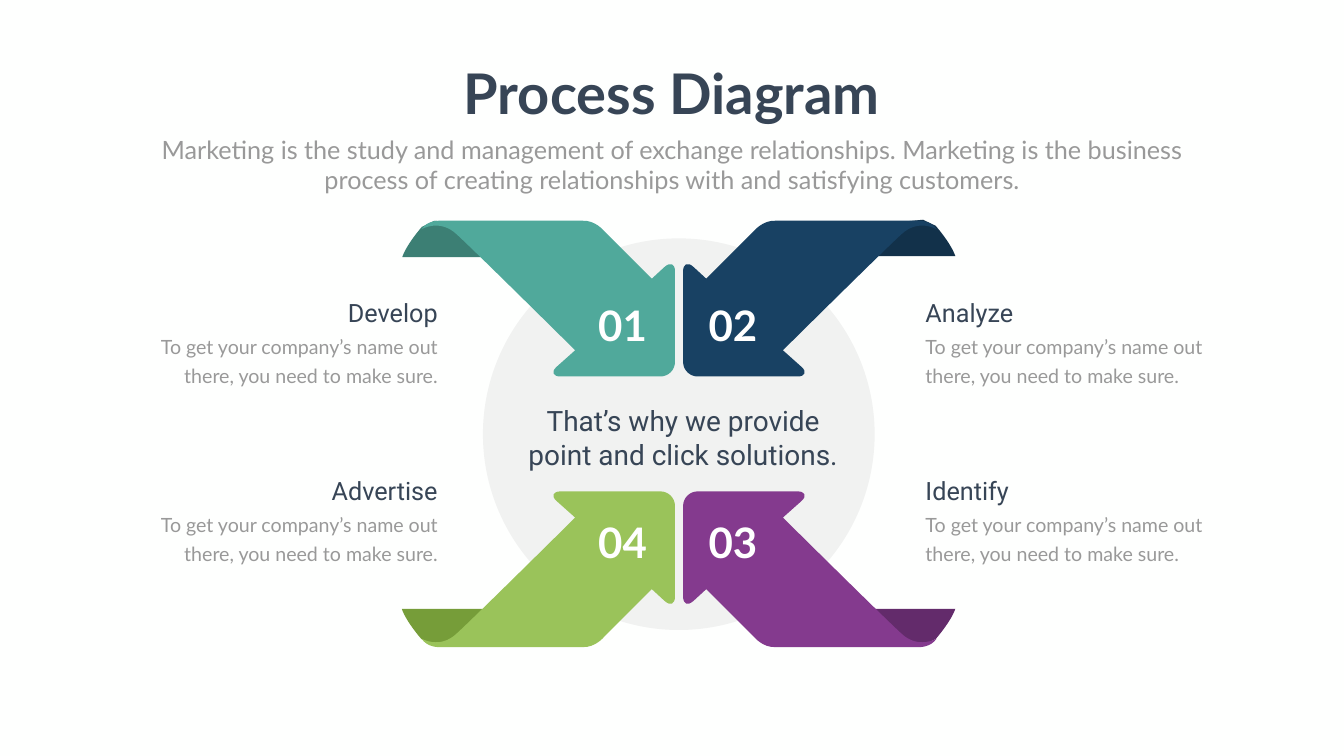
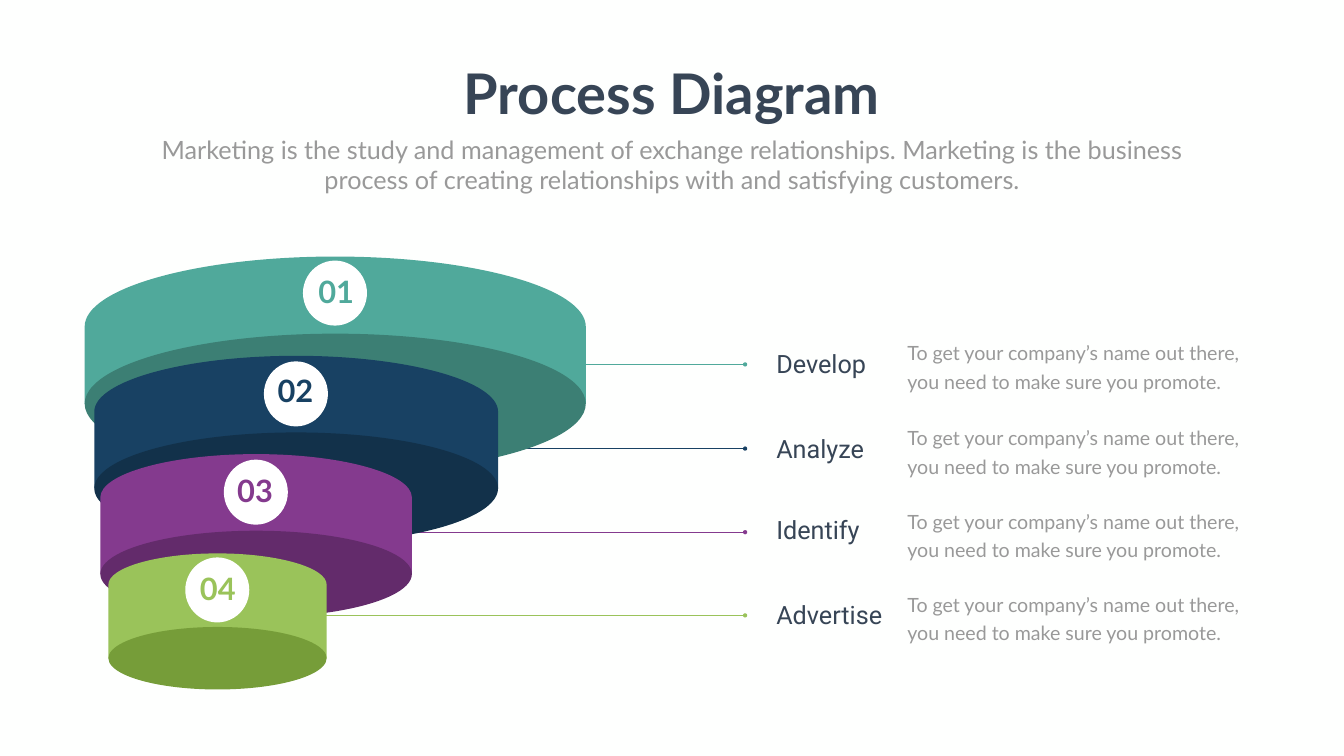
from pptx import Presentation
from pptx.dml.color import RGBColor
from pptx.enum.shapes import MSO_CONNECTOR, MSO_SHAPE
from pptx.enum.text import MSO_AUTO_SIZE, PP_ALIGN
from pptx.oxml.ns import qn
from pptx.util import Pt
from lxml.etree import SubElement

PX = 9144  # one px is a hundredth of an inch
SLIDE_W, SLIDE_H = 2666, 1500

COLORS = {
    "background": "FEFFFE", "ink": "374556", "muted": "999999",
    "white": "FFFFFF", "disc": "808080",
    "teal": "50A99B", "teal_dark": "3C7F74",
    "navy": "184163", "navy_dark": "12314A",
    "purple": "843A8E", "purple_dark": "632B6B",
    "green": "9AC35A", "green_dark": "769D39",
}
STYLES = {
    "title": {"name": "Lato", "size": Pt(80), "bold": True},
    "subtitle": {"name": "Lato", "size": Pt(36)},
    "statement": {"name": "Roboto", "size": Pt(40)},
    "label": {"name": "Roboto", "size": Pt(36)},
    "detail": {"name": "Lato", "size": Pt(28)},
    "arrow_number": {"name": "Lato", "size": Pt(60), "bold": True},
    "tier_number": {"name": "Lato", "size": Pt(44), "bold": True},
}
LEFT, CENTER, RIGHT = PP_ALIGN.LEFT, PP_ALIGN.CENTER, PP_ALIGN.RIGHT
DETAIL_SPACING = Pt(40.8)
CIRCLE_CURVE = 0.55  # Bezier handle length for a quarter ellipse

TITLE = "Process Diagram"
SUBTITLE = ("Marketing is the study and management of exchange relationships. "
            "Marketing is the business process of creating relationships with "
            "and satisfying customers.")
STATEMENT = "That’s why we provide point and click solutions."
ARROW_DETAIL = "To get your company’s name out there, you need to make sure."
TIER_DETAIL = "To get your company’s name out there, you need to make sure you promote."

# Outlines run from a start point; two values draw a line, six a curve.
FOLD_SIZE = (160, 72)
FOLD_OUTLINE = [
    (0, 72), (160, 72), (156, 27), (117, 5), (64, 0), (39, 12),
    (39, 12, 9, 46, 0, 72),
]
ARROW_SIZE = (503, 314)
ARROW_OUTLINE = [
    (482, 97), (457, 120), (362, 25), (362, 25, 345, 4, 320, 5), (35, 5),
    (35, 5, 12, 4, 0, 22), (0, 22, 36, 0, 70, 32),
    (103, 62, 305, 262, 305, 262), (268, 295),
    (257, 305, 261, 314, 276, 314), (474, 314),
    (490, 314, 503, 301, 503, 285), (503, 106),
    (503, 90, 494, 86, 482, 97),
]

# number, label, color, on the right, at the bottom, fold corner
ARROWS = [
    ("01", "Develop", "teal", False, False, (798, 438)),
    ("02", "Analyze", "navy", True, False, (1735, 436)),
    ("04", "Advertise", "green", False, True, (797, 1208)),
    ("03", "Identify", "purple", True, True, (1735, 1208)),
]
# number, color, tier box, rim height, badge drop, number offset
TIERS = [
    ("01", "teal", (168, 509, 994, 292), 139, 8, (404, 28)),
    ("02", "navy", (187, 706, 801, 263), 111, 11, (304, 27)),
    ("03", "purple", (199, 901, 618, 238), 86, 11, (212, 30)),
    ("04", "green", (215, 1098, 433, 208), 62, 8, (122, 28)),
]
# label, color, line start, line height, label top, detail top
CALLOUTS = [
    ("Develop", "teal", 1146, 723, 687, 662),
    ("Analyze", "navy", 975, 890, 855, 831),
    ("Identify", "purple", 793, 1056, 1016, 996),
    ("Advertise", "green", 632, 1221, 1185, 1161),
]


def rgb(color):
    return RGBColor.from_string(COLORS[color])


def emu(*lengths):
    return [round(length * PX) for length in lengths]


def paint(shape, color):
    shape.shadow.inherit = False
    shape.fill.solid()
    shape.fill.fore_color.rgb = rgb(color)
    shape.line.fill.background()


def add_ellipse(slide, box, color):
    ellipse = slide.shapes.add_shape(MSO_SHAPE.OVAL, *emu(*box))
    paint(ellipse, color)
    return ellipse


def bend(shape, outline):
    """Turn each three lines that stand for a curve into that curve."""
    path = next(shape._element.spPr.iter(qn("a:path")))
    lines = iter(path.findall(qn("a:lnTo")))
    for segment in outline[1:]:
        first = next(lines)
        if len(segment) == 6:
            first.tag = qn("a:cubicBezTo")
            for _ in range(2):
                handle = next(lines)
                first.append(handle[0])
                path.remove(handle)


def add_outline(slide, box, outline, color, flip_x=False, flip_y=False):
    left, top, width, height = box
    points = [emu(left + (width - x if flip_x else x),
                  top + (height - y if flip_y else y))
              for segment in outline
              for x, y in zip(segment[::2], segment[1::2])]
    builder = slide.shapes.build_freeform(*points[0], scale=1.0)
    builder.add_line_segments(points[1:], close=True)
    shape = builder.convert_to_shape()
    bend(shape, outline)
    paint(shape, color)


def add_text(slide, box, text, style, color, align=LEFT, spacing=None, wrap=True):
    frame = slide.shapes.add_textbox(*emu(*box)).text_frame
    frame.word_wrap = wrap
    frame.auto_size = MSO_AUTO_SIZE.SHAPE_TO_FIT_TEXT
    paragraph = frame.paragraphs[0]
    paragraph.alignment = align
    if spacing:
        paragraph.line_spacing = spacing
    run = paragraph.add_run()
    run.text = text
    for attribute, value in STYLES[style].items():
        setattr(run.font, attribute, value)
    run.font.color.rgb = rgb(color)


def add_leader(slide, start, end, y, color):
    """Draw a level line that ends in a dot."""
    leader = slide.shapes.add_connector(
        MSO_CONNECTOR.STRAIGHT, *emu(start, y, end, y))
    leader.line.width = Pt(2)
    leader.line.color.rgb = rgb(color)
    SubElement(leader._element.spPr.find(qn("a:ln")), qn("a:tailEnd"), type="oval")
    SubElement(leader._element.spPr, qn("a:effectLst"))


def add_heading(slide, box):
    left, top, width, height = box
    add_text(slide, (left + 609, top, 863, 145), TITLE, "title", "ink", CENTER, wrap=False)
    add_text(slide, (left, top + 149, width, height - 149),
             SUBTITLE, "subtitle", "muted", CENTER)


def add_hub(slide, box):
    """Draw the pale disc behind the arrows."""
    disc = add_ellipse(slide, box, "disc")
    tint = disc._element.spPr.find(qn("a:solidFill")).find(qn("a:srgbClr"))
    SubElement(tint, qn("a:alpha"), val="10000")


def add_arrow_caption(slide, box, label, align):
    left, top, width, height = box
    label_w = 439
    label_left = left + width - label_w if align == RIGHT else left
    add_text(slide, (left, top + 65, width, height - 65), ARROW_DETAIL,
             "detail", "muted", align, DETAIL_SPACING)
    add_text(slide, (label_left, top, label_w, 71), label, "label", "ink", align)


def add_arrow_diagram(slide, box):
    left, top, width, height = box
    arrow_w, arrow_h = ARROW_SIZE
    add_hub(slide, (left + 122, top + 40, 777, 777))
    for _, _, color, on_right, at_bottom, fold_corner in ARROWS:
        add_outline(slide, (*fold_corner, *FOLD_SIZE), FOLD_OUTLINE,
                    color + "_dark", on_right, at_bottom)
    for number, label, color, on_right, at_bottom, _ in ARROWS:
        arrow_left = left + (width - arrow_w if on_right else 0)
        arrow_top = top + (height - arrow_h if at_bottom else 0)
        add_outline(slide, (arrow_left, arrow_top, *ARROW_SIZE), ARROW_OUTLINE,
                    color, on_right, at_bottom)
        number_box = (left + (540 if on_right else 321),
                      top + (586 if at_bottom else 157), 136, 111)
        add_text(slide, number_box, number, "arrow_number", "white", RIGHT)
        caption_box = (left + (990 if on_right else -607),
                       top + (505 if at_bottom else 152), 649, 184)
        add_arrow_caption(slide, caption_box, label, LEFT if on_right else RIGHT)
    add_text(slide, (left + 180, top + 363, 678, 145), STATEMENT,
             "statement", "ink", CENTER)


def add_tier(slide, box, rim, color, number, badge_drop, number_offset):
    left, top, width, height = box
    middle = width / 2
    handle_x, handle_y = middle * CIRCLE_CURVE, rim * CIRCLE_CURVE
    wall = [
        (middle, 0), (middle - handle_x, 0, 0, rim - handle_y, 0, rim),
        (0, height), (width, height), (width, rim),
        (width, rim - handle_y, middle + handle_x, 0, middle, 0),
    ]
    add_outline(slide, box, wall, color)
    add_ellipse(slide, (left, top + height - rim, width, 2 * rim), color + "_dark")
    add_ellipse(slide, (left + middle - 64, top + badge_drop, 127, 129), "white")
    dx, dy = number_offset
    add_text(slide, (left + dx, top + dy, 190, 84), number, "tier_number", color, CENTER)


def add_callouts(slide, left):
    for label, _, _, _, label_top, detail_top in CALLOUTS:
        add_text(slide, (left + 260, detail_top, 708, 119), TIER_DETAIL,
                 "detail", "muted", LEFT, DETAIL_SPACING)
        add_text(slide, (left, label_top, 246, 71), label, "label", "ink")


def add_funnel(slide, callout_left):
    for _, color, start, y, _, _ in CALLOUTS:
        add_leader(slide, start, callout_left - 52, y, color)
    for number, color, box, rim, badge_drop, number_offset in TIERS:
        add_tier(slide, box, rim, color, number, badge_drop, number_offset)
    add_callouts(slide, callout_left)


def add_slide(deck):
    slide = deck.slides.add_slide(deck.slide_layouts[6])
    slide.background.fill.solid()
    slide.background.fill.fore_color.rgb = rgb("background")
    add_heading(slide, (292, 112, 2082, 280))
    return slide


def main():
    deck = Presentation()
    deck.slide_width, deck.slide_height = emu(SLIDE_W, SLIDE_H)
    add_arrow_diagram(add_slide(deck), (836, 433, 1022, 856))
    add_funnel(add_slide(deck), 1530)
    deck.save("out.pptx")


if __name__ == "__main__":
    main()
